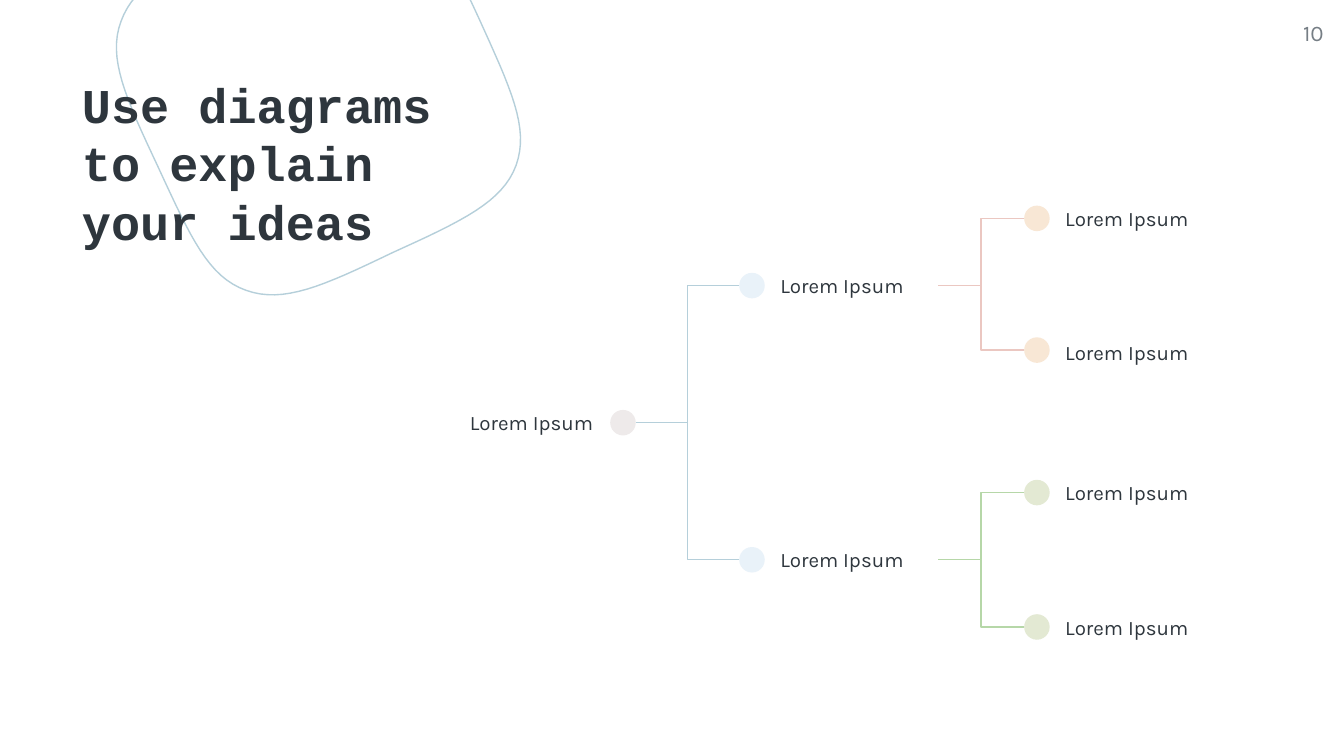
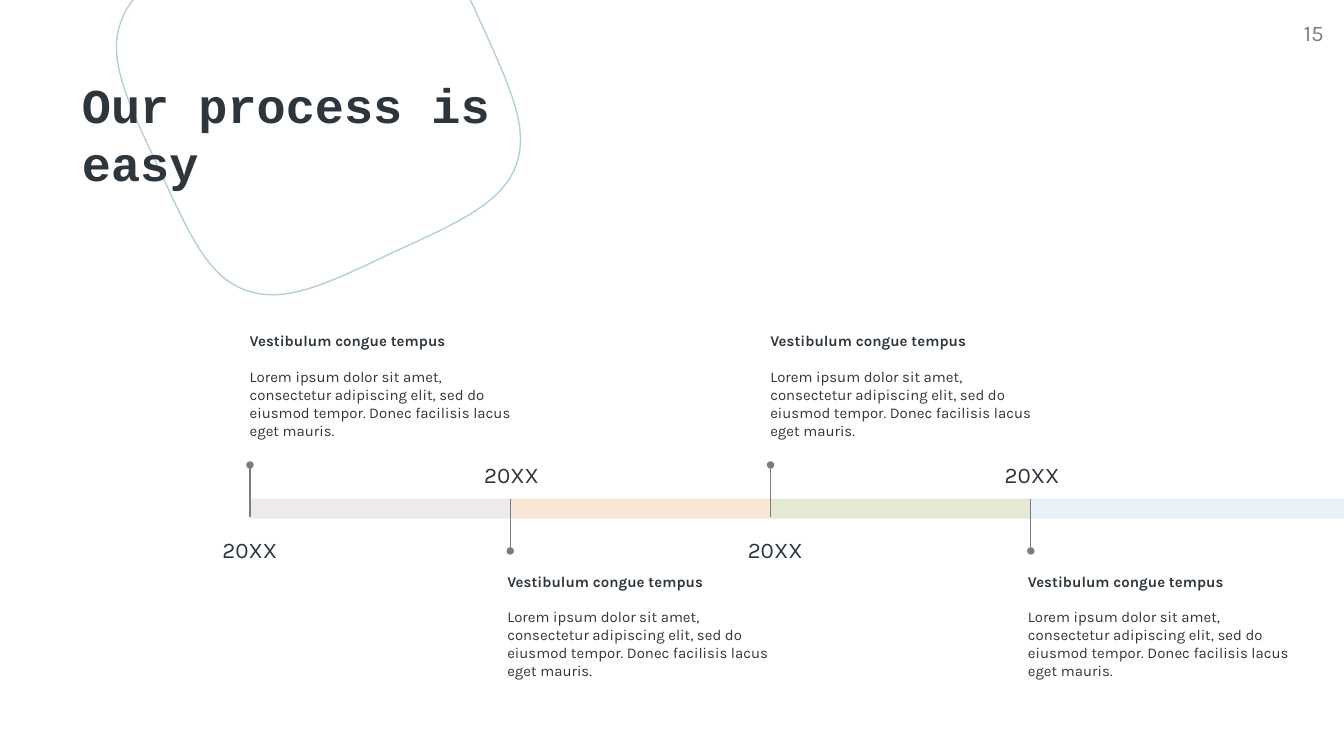
from dataclasses import dataclass

from lxml.etree import SubElement
from pptx import Presentation
from pptx.dml.color import RGBColor
from pptx.enum.shapes import MSO_CONNECTOR, MSO_SHAPE
from pptx.enum.text import MSO_ANCHOR, PP_ALIGN
from pptx.oxml.ns import qn
from pptx.util import Inches, Pt


@dataclass(frozen=True)
class Theme:
    ink: str = "2E363D"
    muted: str = "767E85"
    outline: str = "B5CFDA"
    rose_line: str = "EBC7C1"
    green_line: str = "B6D7A8"
    stone: str = "EEEAEA"
    sky: str = "E9F2F9"
    peach: str = "F8E7D5"
    sage: str = "E3E9D3"
    title_font: str = "Courier New"
    body_font: str = "Karla"
    title_size: int = 26
    date_size: int = 12
    label_size: int = 11
    note_size: int = 8
    line_width: float = 0.75


THEME = Theme()


@dataclass(frozen=True)
class Box:
    left: float
    top: float
    width: float
    height: float

    def inner(self, left, top, width, height):
        return Box(self.left + left, self.top + top, width, height)

    def emu(self):
        return [Inches(v) for v in (self.left, self.top, self.width, self.height)]


def font_style(size, name=THEME.body_font, color=THEME.ink, bold=False):
    return {"size": Pt(size), "name": name, "color": color, "bold": bold}


TITLE = font_style(THEME.title_size, THEME.title_font, bold=True)
PAGE_NUMBER = font_style(THEME.date_size, color=THEME.muted)
LABEL = font_style(THEME.label_size)
DATE = font_style(THEME.date_size)
NOTE_HEAD = font_style(THEME.note_size, bold=True)
NOTE_BODY = font_style(THEME.note_size)

TITLE_BOX = Box(0.61, 0.56, 3.09, 0.5)
NUMBER_BOX = Box(9.25, 0.14, 0.6, 0.43)
BLOB_BOX = Box(0.86, -0.81, 3.01, 3.01)
TREE_BOX = Box(3.24, 1.45, 5.86, 3.39)
TIMELINE_BOX = Box(1.86, 2.37, 8.14, 2.82)

# Bezier outline inside BLOB_BOX: start, then (control, control, end) triples
BLOB_START = (2.06, 2.69)
BLOB_CURVES = [
    ((2.59, 2.45), (2.88, 2.31), (2.98, 2.04)),
    ((3.08, 1.76), (2.94, 1.47), (2.70, 0.94)),
    ((2.46, 0.42), (2.32, 0.13), (2.04, 0.03)),
    ((1.77, -0.07), (1.47, 0.07), (0.95, 0.31)),
    ((0.43, 0.55), (0.14, 0.69), (0.04, 0.97)),
    ((-0.06, 1.24), (0.07, 1.53), (0.32, 2.06)),
    ((0.56, 2.58), (0.69, 2.87), (0.97, 2.97)),
    ((1.25, 3.07), (1.54, 2.94), BLOB_START),
]
CURVE_STEPS = 16

NODE = "Lorem Ipsum"
DOT = 0.19
LABEL_WIDTH, LABEL_HEIGHT, LABEL_RISE = 1.29, 0.35, 0.08
ROOT_LEFT, BRANCH_LEFT, LEAF_LEFT = 1.3, 2.26, 4.38
ROOT_TOP = 1.6
# Branch top, link colour, leaf colour, (leaf top, label rise) pairs
BRANCHES = [
    (0.58, THEME.rose_line, THEME.peach, [(0.08, LABEL_RISE), (1.06, 0.06)]),
    (2.62, THEME.green_line, THEME.sage, [(2.12, LABEL_RISE), (3.12, LABEL_RISE)]),
]

LAST_STAGE_WIDTH = 2.33
BAR_TOP, BAR_HEIGHT = 1.34, 0.15
NOTE_WIDTH, NOTE_HEIGHT = 2.23, 1.03
DATE_HEIGHT = 0.41
# Where the parts of a stage stand when its note is above or below the bar
ABOVE = {"note": (-0.1, 0), "date": 1.49, "pin": (1.09, 1.48)}
BELOW = {"note": (-0.12, 1.79), "date": 0.93, "pin": (1.73, BAR_TOP)}
# Colour, date offset from pin, date width, placement
STAGES = [
    (THEME.stone, -0.43, 0.86, ABOVE),
    (THEME.peach, -0.36, 0.74, BELOW),
    (THEME.sage, -0.31, 0.69, ABOVE),
    (THEME.sky, -0.36, 0.74, BELOW),
]
STAGE_DATE = "20XX"
STAGE_HEAD = "Vestibulum congue tempus"
STAGE_BODY = (
    "Lorem ipsum dolor sit amet, consectetur adipiscing elit, sed do "
    "eiusmod tempor. Donec facilisis lacus eget mauris."
)


def write(frame, paragraphs, inset=0.1, anchor=MSO_ANCHOR.TOP):
    """Fill a text frame with (text, font style, paragraph format) items."""
    layout = {"word_wrap": True, "vertical_anchor": anchor}
    for side in ("left", "top", "right", "bottom"):
        layout[f"margin_{side}"] = Inches(inset)
    for key, value in layout.items():
        setattr(frame, key, value)
    for index, (text, style, spacing) in enumerate(paragraphs):
        paragraph = frame.add_paragraph() if index else frame.paragraphs[0]
        for key, value in {"alignment": PP_ALIGN.LEFT, **spacing}.items():
            setattr(paragraph, key, value)
        run = paragraph.add_run()
        run.text = text
        for key, value in style.items():
            if key == "color":
                run.font.color.rgb = RGBColor.from_string(value)
            else:
                setattr(run.font, key, value)


def add_text(slide, box, paragraphs, **layout):
    write(slide.shapes.add_textbox(*box.emu()).text_frame, paragraphs, **layout)


def add_plain(slide, preset, box, fill=None):
    shape = slide.shapes.add_shape(preset, *box.emu())
    shape.shadow.inherit = False
    shape.line.fill.background()
    if fill:
        shape.fill.solid()
        shape.fill.fore_color.rgb = RGBColor.from_string(fill)
    else:
        shape.fill.background()
    return shape


def stroke(shape, color):
    shape.line.width = Pt(THEME.line_width)
    shape.line.color.rgb = RGBColor.from_string(color)


def add_link(slide, kind, start, end, color, oval_start=False):
    link = slide.shapes.add_connector(kind, *[Inches(v) for v in (*start, *end)])
    stroke(link, color)
    if oval_start:
        SubElement(link.line._get_or_add_ln(), qn("a:headEnd"),
                   type="oval", w="sm", len="sm")
    SubElement(link._element.spPr, qn("a:effectLst"))


# Shared frame: blob outline, title, page number
def add_blob(slide, box):
    points, start = [], BLOB_START
    for first, second, end in BLOB_CURVES:
        for step in range(1, CURVE_STEPS + 1):
            t = step / CURVE_STEPS
            u = 1 - t
            points.append(tuple(
                Inches(offset + u**3 * a + 3 * u * u * t * b + 3 * u * t * t * c + t**3 * d)
                for offset, a, b, c, d in zip((box.left, box.top), start, first, second, end)
            ))
        start = end
    builder = slide.shapes.build_freeform(*points[-1])
    builder.add_line_segments(points[:-1], close=True)
    blob = builder.convert_to_shape()
    blob.shadow.inherit = False
    blob.fill.background()
    stroke(blob, THEME.outline)


def add_framed_slide(deck, title, number):
    slide = deck.slides.add_slide(deck.slide_layouts[6])
    add_blob(slide, BLOB_BOX)
    add_text(slide, TITLE_BOX, [(title, TITLE, {})], inset=0)
    add_text(slide, NUMBER_BOX, [(number, PAGE_NUMBER, {"alignment": PP_ALIGN.RIGHT})],
             inset=0)
    return slide


# Tree diagram
def add_node(slide, box, left, top, color, rise=LABEL_RISE, label_first=False):
    label_left = left - ROOT_LEFT if label_first else left + DOT
    label = add_plain(slide, MSO_SHAPE.ROUNDED_RECTANGLE,
                      box.inner(label_left, top - rise, LABEL_WIDTH, LABEL_HEIGHT))
    side = PP_ALIGN.RIGHT if label_first else PP_ALIGN.LEFT
    write(label.text_frame, [(NODE, LABEL, {"alignment": side})], anchor=MSO_ANCHOR.MIDDLE)
    add_plain(slide, MSO_SHAPE.OVAL, box.inner(left, top, DOT, DOT), color)


def add_branch_link(slide, box, start, end, color):
    """Join two (left, top) spots at the height of their dots' centres."""
    ends = [(box.left + left, box.top + top + DOT / 2) for left, top in (start, end)]
    add_link(slide, MSO_CONNECTOR.ELBOW, *ends, color)


def add_tree(slide, box):
    # Links lie behind the nodes
    for branch_top, link_color, _, leaves in BRANCHES:
        add_branch_link(slide, box, (ROOT_LEFT + DOT, ROOT_TOP),
                        (BRANCH_LEFT, branch_top), THEME.outline)
        for leaf_top, _ in leaves:
            add_branch_link(slide, box, (BRANCH_LEFT + DOT + LABEL_WIDTH, branch_top),
                            (LEAF_LEFT, leaf_top), link_color)
    # Nodes
    add_node(slide, box, ROOT_LEFT, ROOT_TOP, THEME.stone, label_first=True)
    for branch_top, _, leaf_color, leaves in BRANCHES:
        add_node(slide, box, BRANCH_LEFT, branch_top, THEME.sky)
        for leaf_top, rise in leaves:
            add_node(slide, box, LEAF_LEFT, leaf_top, leaf_color, rise)


# Timeline
def add_stage(slide, box, left, width, color, date_shift, date_width, place):
    add_plain(slide, MSO_SHAPE.RECTANGLE, box.inner(left, BAR_TOP, width, BAR_HEIGHT), color)
    pin = [(box.left + left, box.top + y) for y in place["pin"]]
    add_link(slide, MSO_CONNECTOR.STRAIGHT, *pin, THEME.muted, oval_start=True)
    add_text(slide, box.inner(left + date_shift, place["date"], date_width, DATE_HEIGHT),
             [(STAGE_DATE, DATE, {"alignment": PP_ALIGN.CENTER, "line_spacing": 1.15,
                                  "space_after": Pt(16)})])
    note_shift, note_top = place["note"]
    add_text(slide, box.inner(left + note_shift, note_top, NOTE_WIDTH, NOTE_HEIGHT),
             [(STAGE_HEAD, NOTE_HEAD, {"space_after": Pt(9.5)}),
              (STAGE_BODY, NOTE_BODY, {"space_after": Pt(16)})])


def add_timeline(slide, box):
    last = len(STAGES) - 1
    pitch = (box.width - LAST_STAGE_WIDTH) / last
    for index, stage in enumerate(STAGES):
        width = LAST_STAGE_WIDTH if index == last else pitch
        add_stage(slide, box, index * pitch, width, *stage)


def main():
    deck = Presentation()
    deck.slide_width = Inches(10)
    deck.slide_height = deck.slide_width * 9 // 16
    add_tree(add_framed_slide(deck, "Use diagrams to explain your ideas", "10"), TREE_BOX)
    add_timeline(add_framed_slide(deck, "Our process is easy", "15"), TIMELINE_BOX)
    deck.save("out.pptx")


if __name__ == "__main__":
    main()
